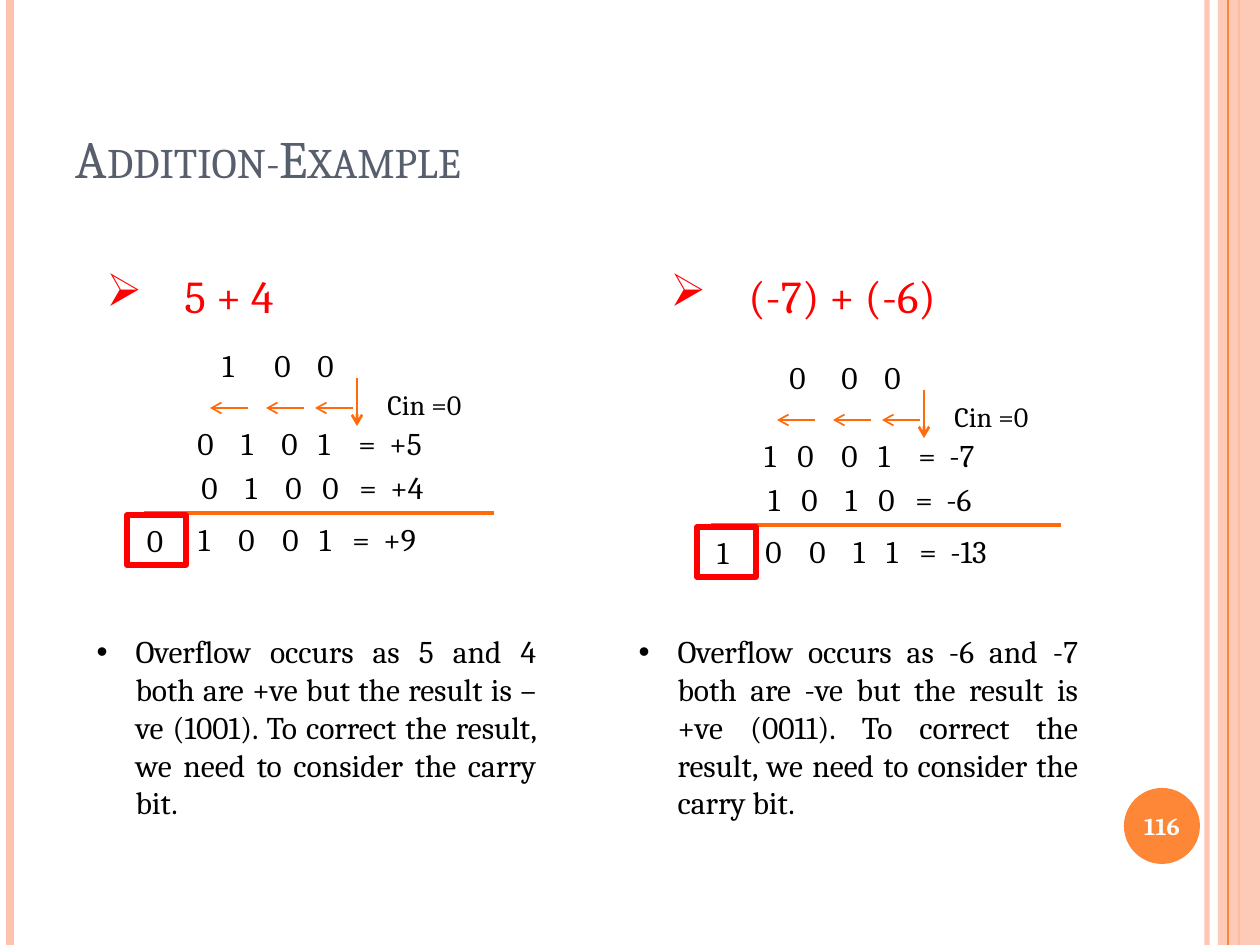
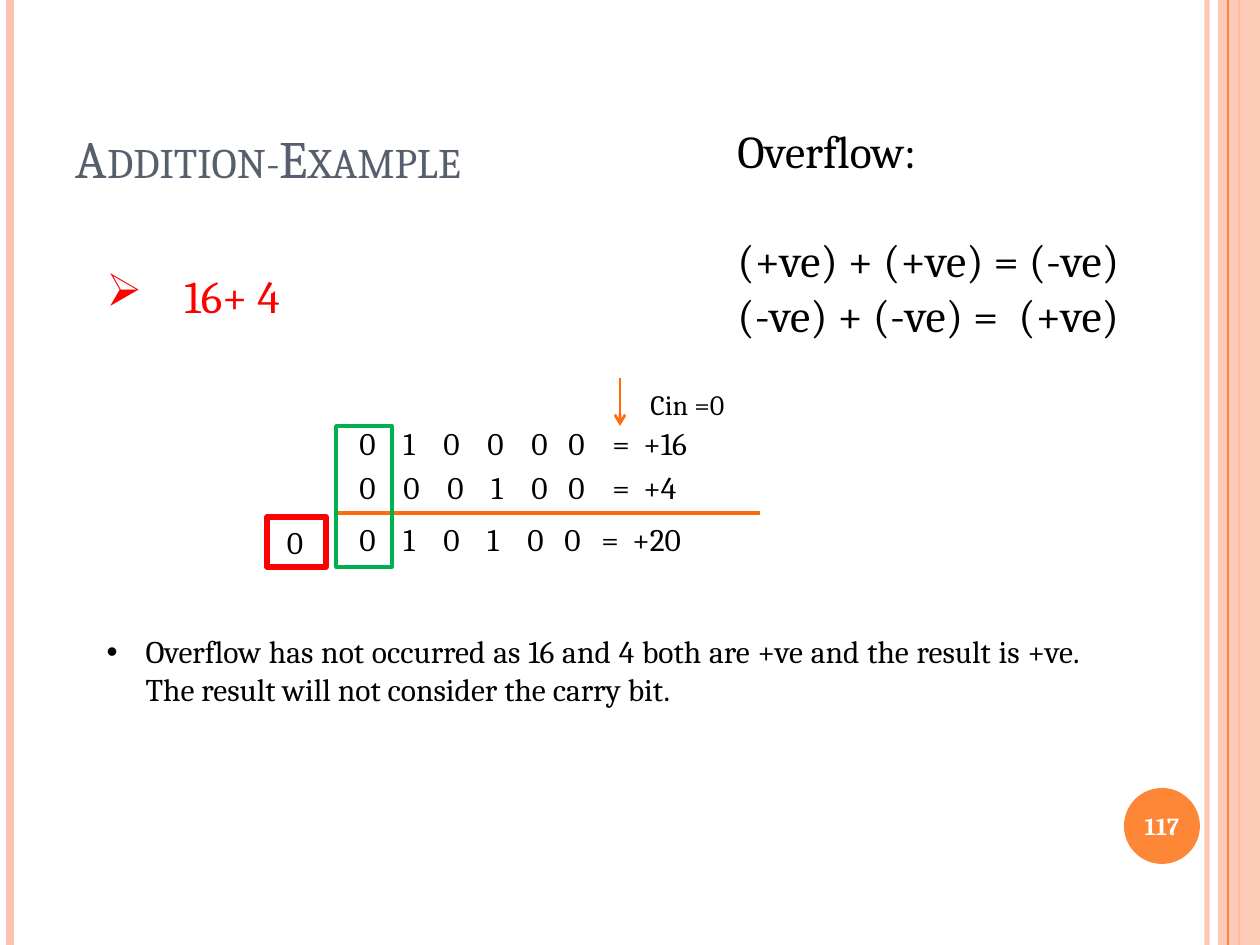
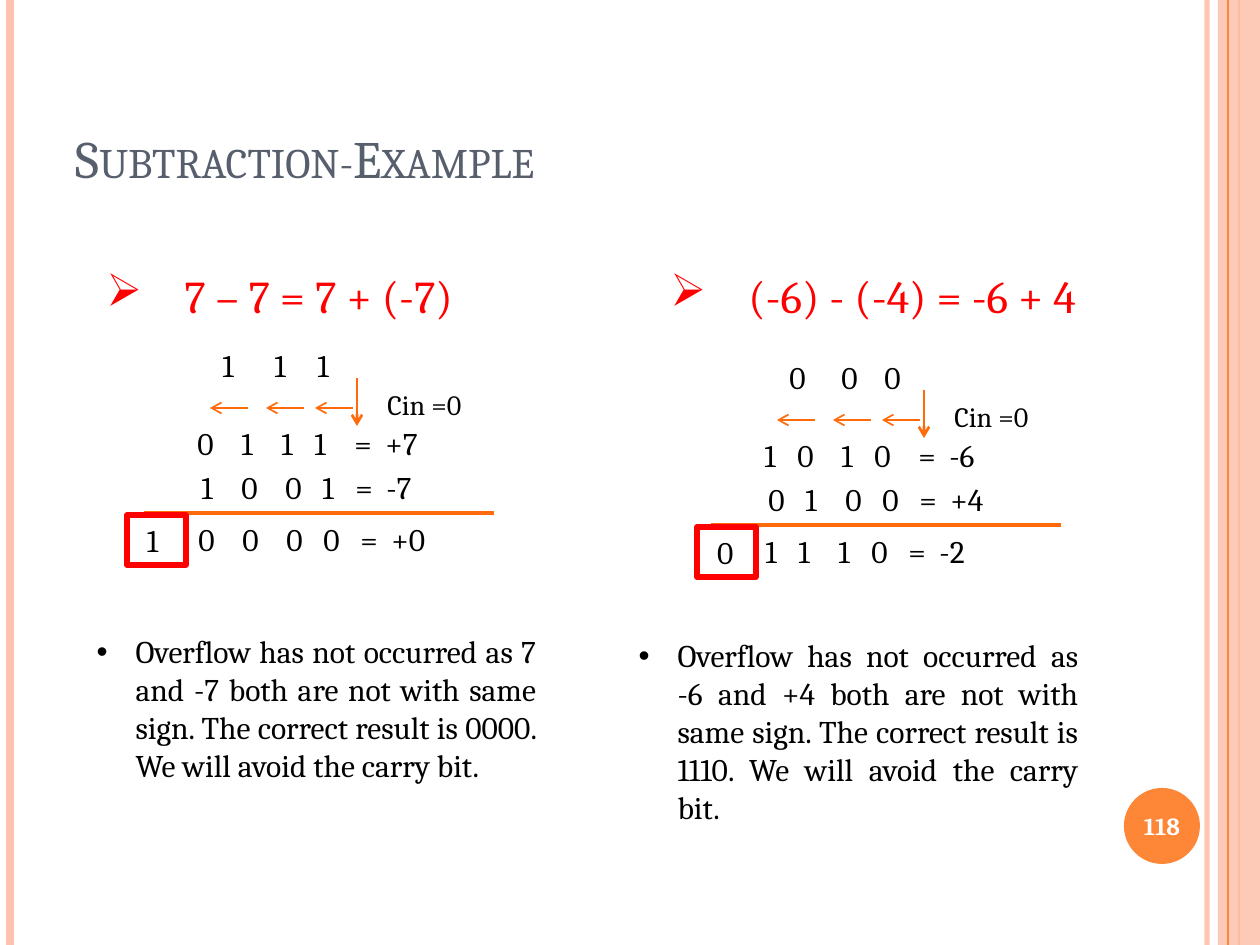
from lxml import etree
from pptx import Presentation
from pptx import util as u
from pptx.dml.color import RGBColor
from pptx.enum import shapes, text
from pptx.oxml.ns import qn

FONT = "Cambria"
INK, SLATE, WHITE = "000000", "575F6D", "FFFFFF"
RED, GREEN = "FF0000", "00B050"
PEACH, AMBER, FLAME = "FEC3AE", "FE8637", "FF6B0A"
FIRST = 116
SPACE = 7
WIDE = {"0": 16, "1": 12, "=": 17}


def px(n):
    return u.Emu(round(n * 914400 / 126))


def hue(code):
    return RGBColor.from_string(code)


def place(item, x, y, w, h):
    item.left, item.top, item.width, item.height = px(x), px(y), px(w), px(h)


def sub(node, tag, **attrs):
    return etree.SubElement(node, qn(tag), attrs)


def fade(item, alpha):
    for node in item.element.spPr.iter(qn("a:srgbClr")):
        sub(node, "a:alpha", val=str(alpha * 1000))


def write(para, words, size, color=INK, bold=False):
    run = para.add_run()
    run.text = words
    font = run.font
    font.name, font.size, font.bold = FONT, u.Pt(size), bold
    font.color.rgb = hue(color)
    return run


def bullet(para, mark, indent):
    props = para._p.get_or_add_pPr()
    props.set("marL", str(px(indent)))
    props.set("indent", str(-px(indent)))
    sub(props, "a:buChar", char=mark)


def tabs(para, stops):
    holder = sub(para._p.get_or_add_pPr(), "a:tabLst")
    for stop in stops:
        sub(holder, "a:tab", pos=str(px(stop)), algn="l")


def frame(slide, x, y, w, h):
    tf = slide.shapes.add_textbox(px(x), px(y), px(w), px(h)).text_frame
    tf.word_wrap = True
    tf.auto_size = text.MSO_AUTO_SIZE.SHAPE_TO_FIT_TEXT
    return tf


def label(slide, words, x, y, w, h, size=18):
    write(frame(slide, x, y, w, h).paragraphs[0], words, size)


def line(slide, start, end, color, width, arrow=False):
    item = slide.shapes.add_connector(
        shapes.MSO_CONNECTOR.STRAIGHT, *map(px, start + end))
    item.line.color.rgb = hue(color)
    item.line.width = u.Pt(width)
    if arrow:
        sub(item.get_or_add_ln(), "a:tailEnd", type="arrow")
    sub(item.element.spPr, "a:effectLst")
    return item


def solid(slide, kind, x, y, w, h, fill):
    item = slide.shapes.add_shape(kind, px(x), px(y), px(w), px(h))
    item.shadow.inherit = False
    item.fill.solid()
    item.fill.fore_color.rgb = hue(fill)
    item.line.fill.background()
    return item


def box(slide, x, y, w, h, color, width):
    item = slide.shapes.add_shape(
        shapes.MSO_SHAPE.RECTANGLE, px(x), px(y), px(w), px(h))
    item.shadow.inherit = False
    item.fill.background()
    item.line.color.rgb = hue(color)
    item.line.width = u.Pt(width)
    return item


def bands(deck, slide):
    edge = line(slide, (1207, 0), (1207, 945), PEACH, 3)
    fade(edge, 93)
    left = line(slide, (10, 0), (10, 945), PEACH, 4.5)
    thick = line(slide, (1239, 0), (1239, 945), AMBER, 1.5)
    strip = solid(slide, shapes.MSO_SHAPE.RECTANGLE, 1218, 0, 42, 945, PEACH)
    fade(strip, 87)
    thin = line(slide, (1228, 0), (1228, 945), AMBER, 0.75)
    badge = solid(slide, shapes.MSO_SHAPE.OVAL, 1124, 788, 76, 76, AMBER)
    tree = deck.slide_master.shapes.element
    for num, item in enumerate((edge, left, thick, strip, thin, badge), 100):
        item.element.xpath(".//p:cNvPr")[0].set("id", str(num))
        tree.append(item.element)


def page(deck, layout, title, num):
    slide = deck.slides.add_slide(deck.slide_layouts[layout])
    head = slide.shapes.title
    place(head, 63, 38, 1029, 157)
    tf = head.text_frame
    tf.auto_size = text.MSO_AUTO_SIZE.NONE
    tf.vertical_anchor = text.MSO_ANCHOR.BOTTOM
    para = tf.paragraphs[0]
    para.alignment = text.PP_ALIGN.LEFT
    run = write(para, title, 30, SLATE)
    run.font._element.set("cap", "small")
    tf = frame(slide, 1120, 790, 84, 72)
    tf.auto_size = text.MSO_AUTO_SIZE.NONE
    tf.vertical_anchor = text.MSO_ANCHOR.MIDDLE
    tf.paragraphs[0].alignment = text.PP_ALIGN.CENTER
    write(tf.paragraphs[0], str(num), 14, WHITE, True)
    return slide


def topic(slide, words, x):
    para = frame(slide, x, 262, 486, 68).paragraphs[0]
    bullet(para, "➢", 78)
    write(para, words, 26, RED)


def note(slide, idx, words, x, y, w, h):
    body = slide.placeholders[idx]
    place(body, x, y, w, h)
    tf = body.text_frame
    tf.auto_size = text.MSO_AUTO_SIZE.SHAPE_TO_FIT_TEXT
    para = tf.paragraphs[0]
    bullet(para, "•", 39)
    para.alignment = text.PP_ALIGN.JUSTIFY
    para.space_before = u.Pt(0)
    write(para, words, 18)


def row(slide, bits, value, gaps, x, y):
    parts = [*bits, "="]
    stops, pos = [], 0
    for part, gap in zip(parts, gaps + "2"):
        pos += WIDE[part] + SPACE * int(gap)
        stops.append(pos)
    para = frame(slide, x, y, 310 if len(bits) == 4 else 430, 50).paragraphs[0]
    tabs(para, stops)
    write(para, "\t".join(parts + [value]), 18)


def cin(slide, x, y):
    line(slide, (x, y), (x, y + 48), FLAME, 1.5, True)
    label(slide, "Cin =0", x + 18, y + 3, 131, 47, 16)


def carry(slide, bit, x, y):
    tf = box(slide, x, y, 59, 50, RED, 3).text_frame
    tf.margin_left = px(13 + SPACE)
    para = tf.paragraphs[0]
    para.alignment = text.PP_ALIGN.LEFT
    write(para, bit, 18)


def total(slide, rows, x, y, shifts=(0, 4, 1)):
    for (bits, value, gaps), shift, drop in zip(rows, shifts, (0, 44, 96)):
        row(slide, bits, value, gaps, x + shift, y + drop)


def nibble(slide, x, y, carries, rows, out, edge):
    total(slide, rows, x + 185, y + 418)
    line(slide, (x + 144, y + 513), (x + 494, y + 513), FLAME, 2.25)
    cin(slide, x + 357, y + 378)
    for bit, left, tip in zip(carries, (210, 262, 305), (210, 266, 315)):
        label(slide, bit, x + left, y + 340, 32, 50)
        line(slide, (x + tip + 38, y + 408), (x + tip, y + 408), FLAME, 1, True)
    carry(slide, out, edge, y + 515)


def pair(deck, title, num, left, right, drop=0):
    slide = page(deck, 3, title, num)
    sides = ((left, 94, 0, 0, 127, 84, 626),
             (right, 658, 567, 12, 697, 626, 626 + drop))
    for idx, (side, head, x, y, edge, foot, top) in enumerate(sides, 1):
        words, carries, rows, out, remark = side
        topic(slide, words, head)
        nibble(slide, x, y, carries, rows, out, edge)
        note(slide, idx, remark, foot, top, 465, 204)
    return slide


def rules(slide):
    tf = frame(slide, 725, 117, 462, 233)
    write(tf.paragraphs[0], "Overflow:", 26)
    para = tf.add_paragraph()
    para.space_before = u.Pt(31)
    write(para, "(+ve) + (+ve) = (-ve)", 26)
    para = tf.add_paragraph()
    tabs(para, [281])
    write(para, "(-ve) + (-ve) =\t(+ve)", 26)


def wide(deck, num):
    slide = page(deck, 1, "Addition-Example", num)
    topic(slide, "16+ 4", 94)
    rows = (("010000", "+16", "444434"), ("000100", "+4", "444434"),
            ("010100", "+20", "444433"))
    total(slide, rows, 347, 418, (0, 0, 0))
    line(slide, (336, 513), (760, 513), FLAME, 2.25)
    cin(slide, 620, 378)
    carry(slide, "0", 267, 517)
    note(slide, 1, "Overflow has not occurred as 16 and 4 both are +ve and the "
         "result is +ve. The result will not consider the carry bit.",
         94, 626, 998, 89)
    rules(slide)
    box(slide, 336, 426, 56, 141, GREEN, 2)


def main():
    deck = Presentation()
    deck.slide_width, deck.slide_height = px(1260), px(945)
    slide = pair(
        deck, "Addition-Example", FIRST,
        ("5 + 4", "100",
         (("0101", "+5", "4434"), ("0100", "+4", "4433"),
          ("1001", "+9", "4433")), "0",
         "Overflow occurs as 5 and 4 both are +ve but the result is –ve "
         "(1001). To correct the result, we need to consider the carry bit."),
        ("(-7) + (-6)", "000",
         (("1001", "-7", "3434"), ("1010", "-6", "3433"),
          ("0011", "-13", "4433")), "1",
         "Overflow occurs as -6 and -7 both are -ve but the result is +ve "
         "(0011). To correct the result, we need to consider the carry bit."))
    bands(deck, slide)
    wide(deck, FIRST + 1)
    pair(
        deck, "Subtraction-Example", FIRST + 2,
        ("7 – 7 = 7 + (-7)", "111",
         (("0111", "+7", "4434"), ("1001", "-7", "4433"),
          ("0000", "+0", "4433")), "1",
         "Overflow has not occurred as 7 and -7 both are not with same sign. "
         "The correct result is 0000. We will avoid the carry bit."),
        ("(-6) - (-4) = -6 + 4", "000",
         (("1010", "-6", "3434"), ("0100", "+4", "3433"),
          ("1110", "-2", "3433")), "0",
         "Overflow has not occurred as -6 and +4 both are not with same sign. "
         "The correct result is 1110. We will avoid the carry bit."), 4)
    deck.save("out.pptx")


if __name__ == "__main__":
    main()
